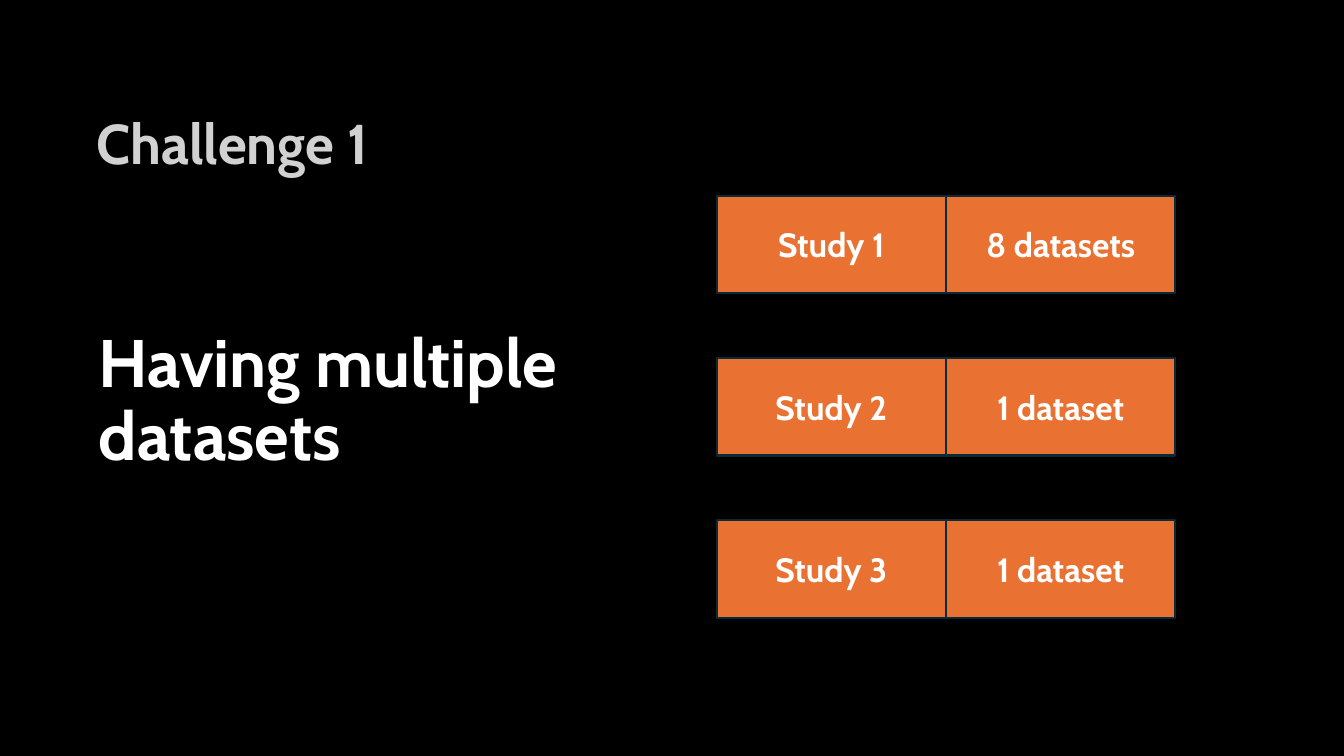
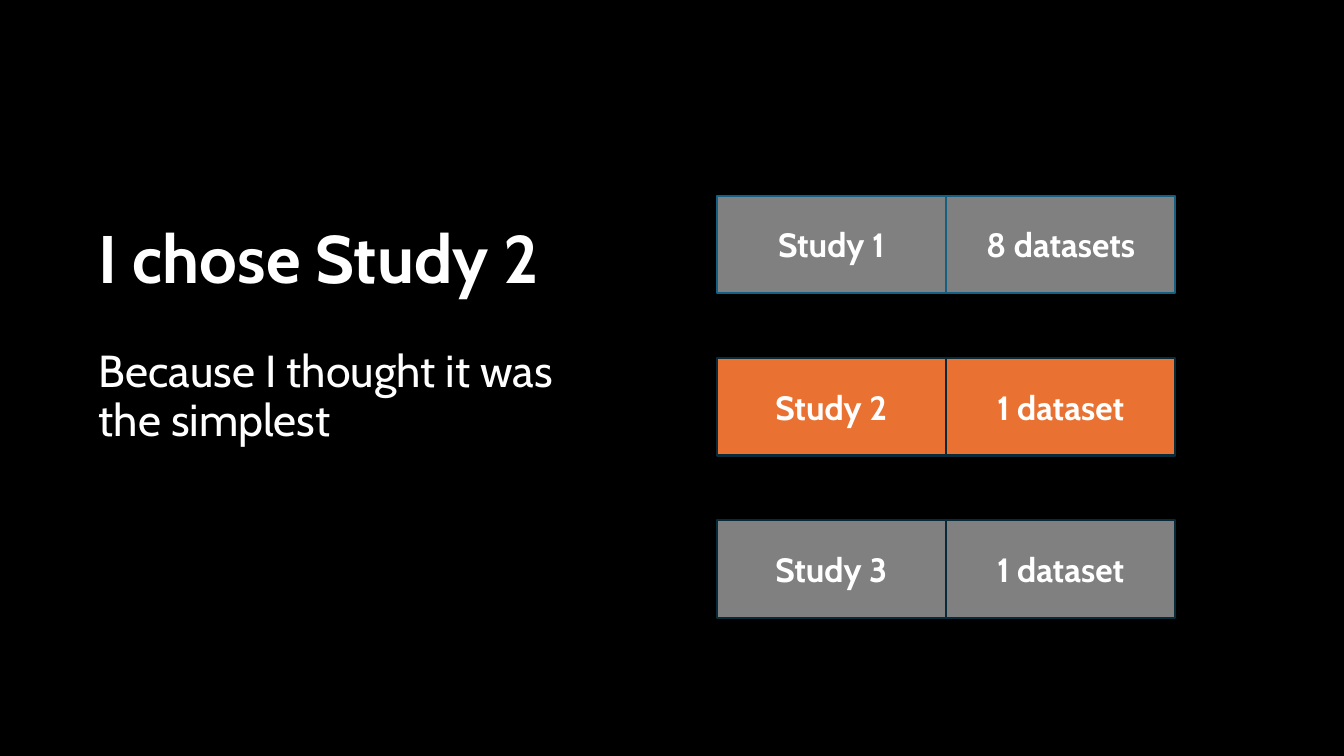
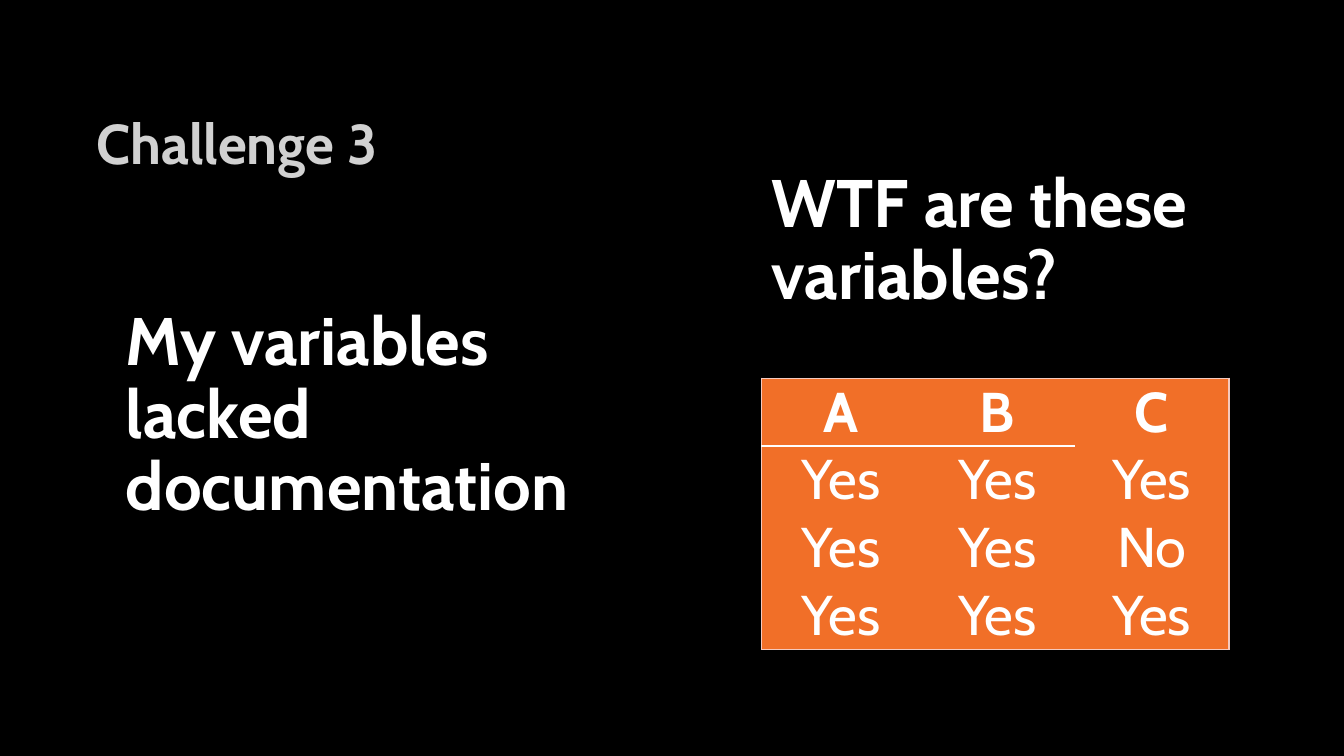
from lxml import etree
from pptx import Presentation
from pptx.dml import color
from pptx.enum import shapes, text
from pptx.oxml import ns
from pptx.util import Cm, Pt

FONT = "Cabin"
BLACK, WHITE, LIGHT_GREY = "000000", "FFFFFF", "D1D1D1"
ORANGE, GREY = "E97132", "808080"
NAVY, BLUE = "092A39", "156082"
TABLE_ORANGE, TABLE_EDGE = "F16F28", "F4C9BF"

STUDIES = [("Study 1", "8 datasets"), ("Study 2", "1 dataset"), ("Study 3", "1 dataset")]
STUDY_LEFT, STUDY_TOP = 18.06, 4.93
STUDY_WIDTH, STUDY_HEIGHT, STUDY_STEP = 5.78, 2.46, 4.09

VARIABLES = [("A", "B", "C"), ("Yes", "Yes", "Yes"), ("Yes", "Yes", "No"), ("Yes", "Yes", "Yes")]
VARIABLE_WIDTHS = (3.99, 3.89, 3.89)
VARIABLE_ROW_HEIGHT = 1.71


def rgb(value):
    return color.RGBColor.from_string(value)


def write(frame, words, size, tint=WHITE, bold=True, align=text.PP_ALIGN.LEFT, spacing=None):
    paragraph = frame.paragraphs[0]
    paragraph.alignment = align
    paragraph.line_spacing = spacing
    run = paragraph.add_run()
    run.text = words
    run.font.name = FONT
    run.font.size = Pt(size)
    run.font.bold = bold
    run.font.color.rgb = rgb(tint)


def add_text(slide, words, left, top, width, height, size=48, tint=WHITE, bold=True):
    frame = slide.shapes.add_textbox(Cm(left), Cm(top), Cm(width), Cm(height)).text_frame
    frame.word_wrap = True
    frame.vertical_anchor = text.MSO_ANCHOR.MIDDLE
    write(frame, words, size, tint, bold, spacing=0.9)


def add_challenge(slide, number):
    add_text(slide, f"Challenge {number}", 2.18, 2.46, 8.46, 2.46, 40, LIGHT_GREY)


def add_study_cell(slide, words, left, top, fill, edge):
    cell = slide.shapes.add_shape(shapes.MSO_SHAPE.RECTANGLE, Cm(left), Cm(top),
                                  Cm(STUDY_WIDTH), Cm(STUDY_HEIGHT))
    cell.shadow.inherit = False
    cell.fill.solid()
    cell.fill.fore_color.rgb = rgb(fill)
    cell.line.color.rgb = rgb(edge)
    cell.line.width = Pt(1.5)
    cell.text_frame.vertical_anchor = text.MSO_ANCHOR.MIDDLE
    write(cell.text_frame, words, 24, align=text.PP_ALIGN.CENTER)


def add_studies(slide, looks):
    """Draw one row per study; looks holds its (fill, edge) colours."""
    for row, (study, (fill, edge)) in enumerate(zip(STUDIES, looks)):
        for column, words in enumerate(study):
            add_study_cell(slide, words, STUDY_LEFT + column * STUDY_WIDTH,
                           STUDY_TOP + row * STUDY_STEP, fill, edge)


def set_borders(cell, borders):
    """Draw the sides (L, R, T, B) given as (colour, points) and clear the others."""
    properties = cell._tc.get_or_add_tcPr()
    for position, side in enumerate("LRTB"):
        line = etree.Element(ns.qn(f"a:ln{side}"))
        if side in borders:
            tint, points = borders[side]
            line.set("w", str(Pt(points)))
            fill = etree.SubElement(line, ns.qn("a:solidFill"))
            etree.SubElement(fill, ns.qn("a:srgbClr"), val=tint)
        else:
            etree.SubElement(line, ns.qn("a:noFill"))
        properties.insert(position, line)


def variable_borders(row, column):
    last_row, last_column = len(VARIABLES) - 1, len(VARIABLE_WIDTHS) - 1
    outer = {"L": column == 0, "R": column == last_column, "T": row == 0, "B": row == last_row}
    borders = {side: (TABLE_EDGE, 1) for side, drawn in outer.items() if drawn}
    if column < last_column and row < 2:
        borders["B" if row == 0 else "T"] = (WHITE, 2)
    return borders


def add_variables(slide, left, top):
    table = slide.shapes.add_table(
        len(VARIABLES), len(VARIABLE_WIDTHS), Cm(left), Cm(top),
        Cm(sum(VARIABLE_WIDTHS)), Cm(VARIABLE_ROW_HEIGHT * len(VARIABLES))).table
    table.first_row = table.horz_banding = False
    for column, width in zip(table.columns, VARIABLE_WIDTHS):
        column.width = Cm(width)
    for row, values in enumerate(VARIABLES):
        table.rows[row].height = Cm(VARIABLE_ROW_HEIGHT)
        for column, value in enumerate(values):
            cell = table.cell(row, column)
            cell.fill.solid()
            cell.fill.fore_color.rgb = rgb(TABLE_ORANGE)
            cell.margin_left = cell.margin_right = cell.margin_top = cell.margin_bottom = 0
            cell.vertical_anchor = text.MSO_ANCHOR.BOTTOM
            write(cell.text_frame, value, 40, bold=row == 0, align=text.PP_ALIGN.CENTER)
            set_borders(cell, variable_borders(row, column))


def build_multiple_datasets(slide):
    add_challenge(slide, 1)
    add_text(slide, "Having multiple datasets", 2.24, 7.72, 15.57, 4.83)
    add_studies(slide, [(ORANGE, NAVY)] * len(STUDIES))


def build_choice(slide):
    add_text(slide, "I chose Study 2", 2.24, 4.19, 15.57, 4.83)
    add_studies(slide, [(GREY, BLUE), (ORANGE, NAVY), (GREY, NAVY)])
    add_text(slide, "Because I thought it was the simplest", 2.24, 8.79, 13.67, 2.46, 32, bold=False)


def build_documentation(slide):
    add_challenge(slide, 3)
    add_text(slide, "My variables lacked documentation", 2.92, 8.08, 13.26, 4.83)
    add_variables(slide, 19.2, 9.53)
    add_text(slide, "WTF are these variables?", 19.2, 3.68, 11.73, 4.83)


def main():
    deck = Presentation()
    deck.slide_width, deck.slide_height = Cm(33.87), Cm(19.05)
    backdrop = deck.slide_master.background.fill
    backdrop.solid()
    backdrop.fore_color.rgb = rgb(BLACK)
    for build in (build_multiple_datasets, build_choice, build_documentation):
        build(deck.slides.add_slide(deck.slide_layouts[6]))
    deck.save("out.pptx")


if __name__ == "__main__":
    main()
